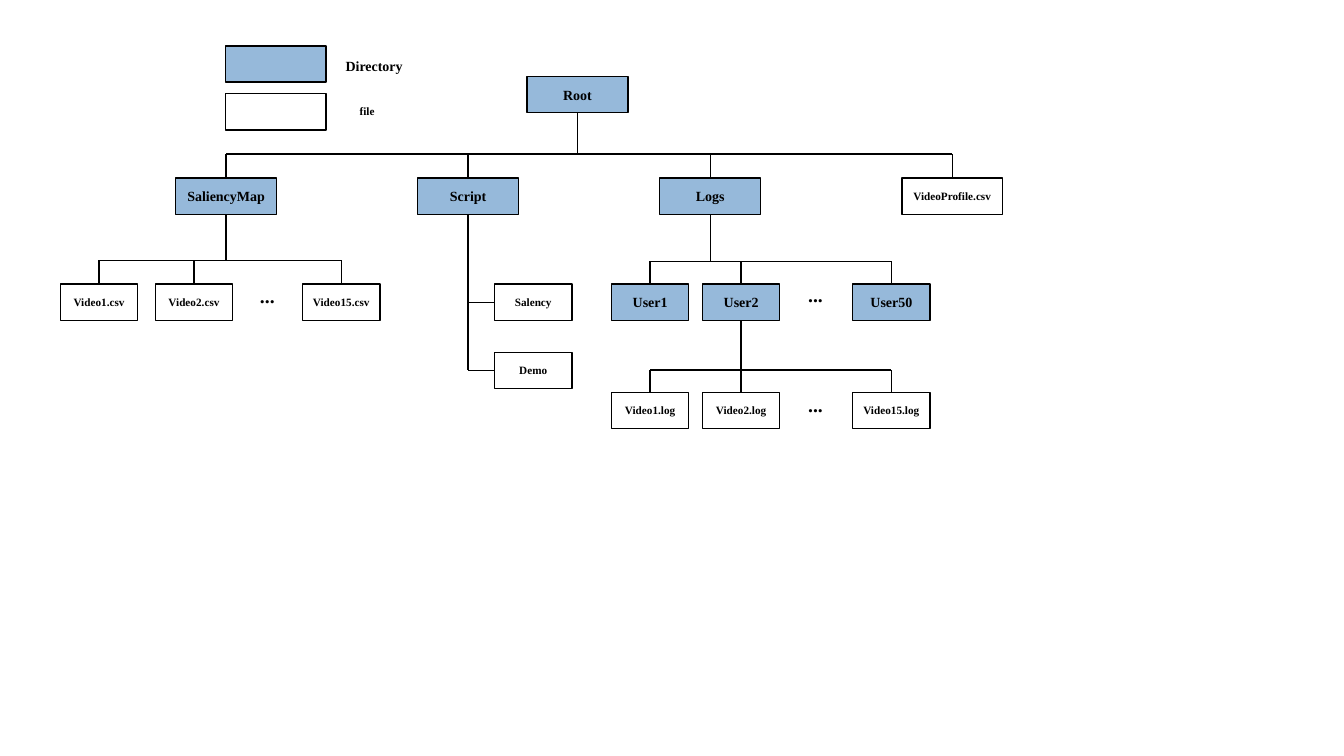
"""Build a slide with the directory tree of a video data set."""
from lxml import etree
from pptx import Presentation
from pptx import util as u
from pptx.dml.color import RGBColor
from pptx.enum import shapes, text
from pptx.oxml.ns import qn

COLORS = {"directory": "2E75B6", "ink": "000000"}
FONT = "Times New Roman"
BOX_HEIGHT = 25.8
WIDE, NARROW = 72, 55.2

presentation = Presentation()
presentation.slide_width, presentation.slide_height = u.Pt(960), u.Pt(540)
slide = presentation.slides.add_slide(presentation.slide_layouts[6])
ink = RGBColor.from_string(COLORS["ink"])


def add_node(label, left, top, width, is_directory):
    shape = slide.shapes.add_shape(
        shapes.MSO_SHAPE.RECTANGLE, u.Pt(left), u.Pt(top), u.Pt(width), u.Pt(BOX_HEIGHT))
    shape.shadow.inherit = False
    shape.line.color.rgb = ink
    shape.line.width = u.Pt(1)
    if is_directory:
        shape.fill.solid()
        shape.fill.fore_color.rgb = RGBColor.from_string(COLORS["directory"])
        color = shape.fill._xPr.find(qn("a:solidFill"))[0]
        etree.SubElement(color, qn("a:alpha"), val="50000")
    else:
        shape.fill.background()
    if label:
        frame = shape.text_frame
        frame.margin_left = frame.margin_right = 0
        frame.vertical_anchor = text.MSO_ANCHOR.MIDDLE
        paragraph = frame.paragraphs[0]
        paragraph.text = label
        paragraph.alignment = text.PP_ALIGN.CENTER
        font = paragraph.runs[0].font
        font.name, font.size, font.bold = FONT, u.Pt(10 if is_directory else 8), True
        font.color.rgb = ink


def add_line(x1, y1, x2, y2):
    connector = slide.shapes.add_connector(
        shapes.MSO_CONNECTOR.STRAIGHT, u.Pt(x1), u.Pt(y1), u.Pt(x2), u.Pt(y2))
    connector.line.color.rgb = ink
    connector.line.width = u.Pt(1)
    etree.SubElement(connector._element.spPr, qn("a:effectLst"))


root_left, root_top = 376.5, 54.7
add_node("Root", root_left, root_top, WIDE, True)

main_lefts = [125.5 + 172.9 * column for column in range(4)]
main_top = 127.3
saliency_x, script_x, logs_x, profile_x = [left + WIDE / 2 for left in main_lefts]
user_lefts = [436.8, 501.8, 609.1]
user_top = 203
user2_x = user_lefts[1] + NARROW / 2

branches = [
    (["SaliencyMap", "Script", "Logs", "VideoProfile.csv"], main_lefts, main_top, WIDE, 3,
     root_left + WIDE / 2, root_top, 110),
    (["Video1.csv", "Video2.csv", "Video15.csv"], [43.2, 111, 216.2], user_top, NARROW, 0,
     saliency_x, main_top, 186),
    (["User1", "User2", "User50"], user_lefts, user_top, NARROW, 3,
     logs_x, main_top, 186.6),
    (["Video1.log", "Video2.log", "Video15.log"], user_lefts, 280.2, NARROW, 0,
     user2_x, user_top, 264.4),
]
for labels, lefts, top, width, directory_count, parent_x, parent_top, bus_y in branches:
    centers = [left + width / 2 for left in lefts]
    add_line(parent_x, parent_top + BOX_HEIGHT, parent_x, bus_y)
    add_line(centers[0], bus_y, centers[-1], bus_y)
    for index, (label, left, center) in enumerate(zip(labels, lefts, centers)):
        add_node(label, left, top, width, index < directory_count)
        add_line(center, bus_y, center, top)

script_child_left, script_child_tops = 353.3, [user_top, 251.7]
for label, top in zip(["Salency", "Demo"], script_child_tops):
    add_node(label, script_child_left, top, NARROW, False)
    add_line(script_x, top + BOX_HEIGHT / 2, script_child_left, top + BOX_HEIGHT / 2)
add_line(script_x, main_top + BOX_HEIGHT, script_x, script_child_tops[-1] + BOX_HEIGHT / 2)

for top, is_directory in [(32.8, True), (67, False)]:
    add_node("", 161, top, WIDE, is_directory)

captions = [
    ("Directory", 239.8, 37.4, 55.4, 19.4, 10),
    ("file", 249.8, 71.3, 25.2, 16.9, 8),
    ("...", 178.6, 199.4, 25.2, 24.2, 14),
    ("...", 570.2, 198.7, 25.2, 24.2, 14),
    ("...", 570.2, 277.2, 25.2, 24.2, 14),
]
for label, left, top, width, height, size in captions:
    caption = slide.shapes.add_textbox(u.Pt(left), u.Pt(top), u.Pt(width), u.Pt(height))
    caption.text_frame.word_wrap = False
    caption.text_frame.text = label
    font = caption.text_frame.paragraphs[0].runs[0].font
    font.name, font.size, font.bold = FONT, u.Pt(size), True
    font.color.rgb = ink

presentation.save("out.pptx")
